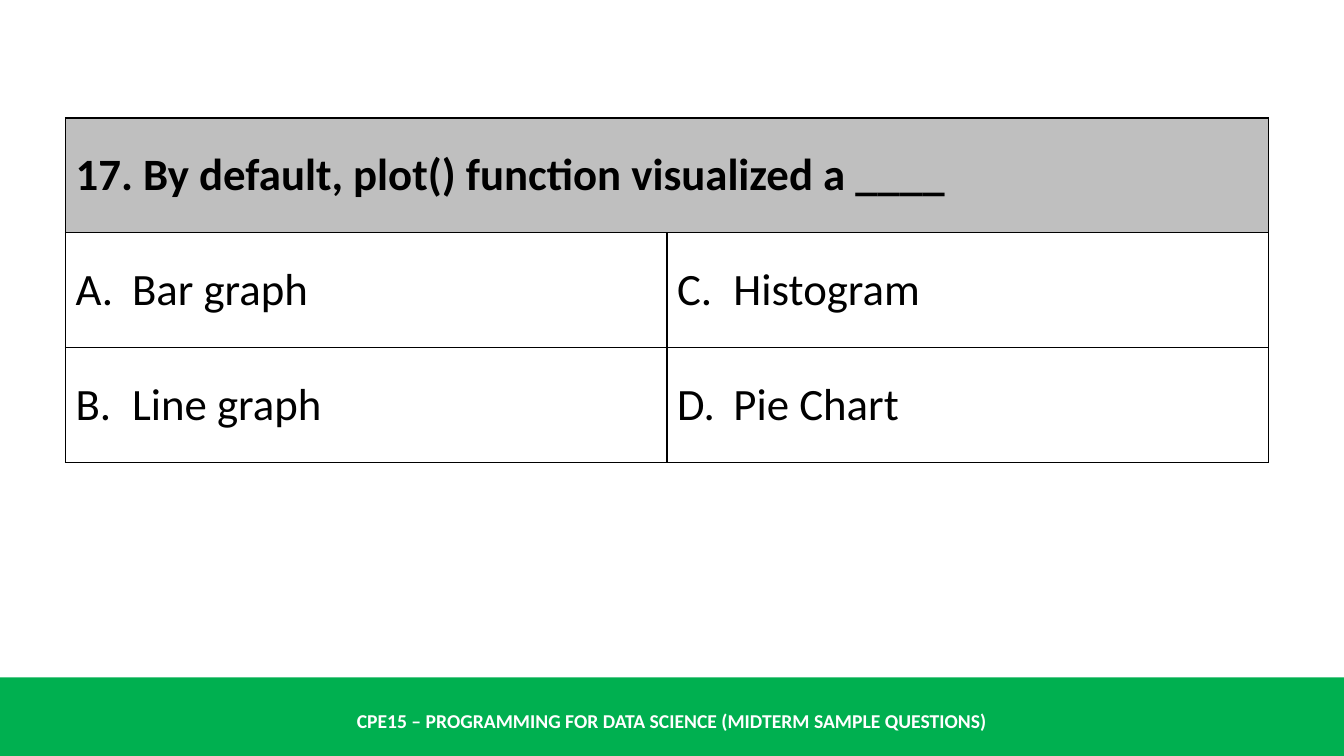
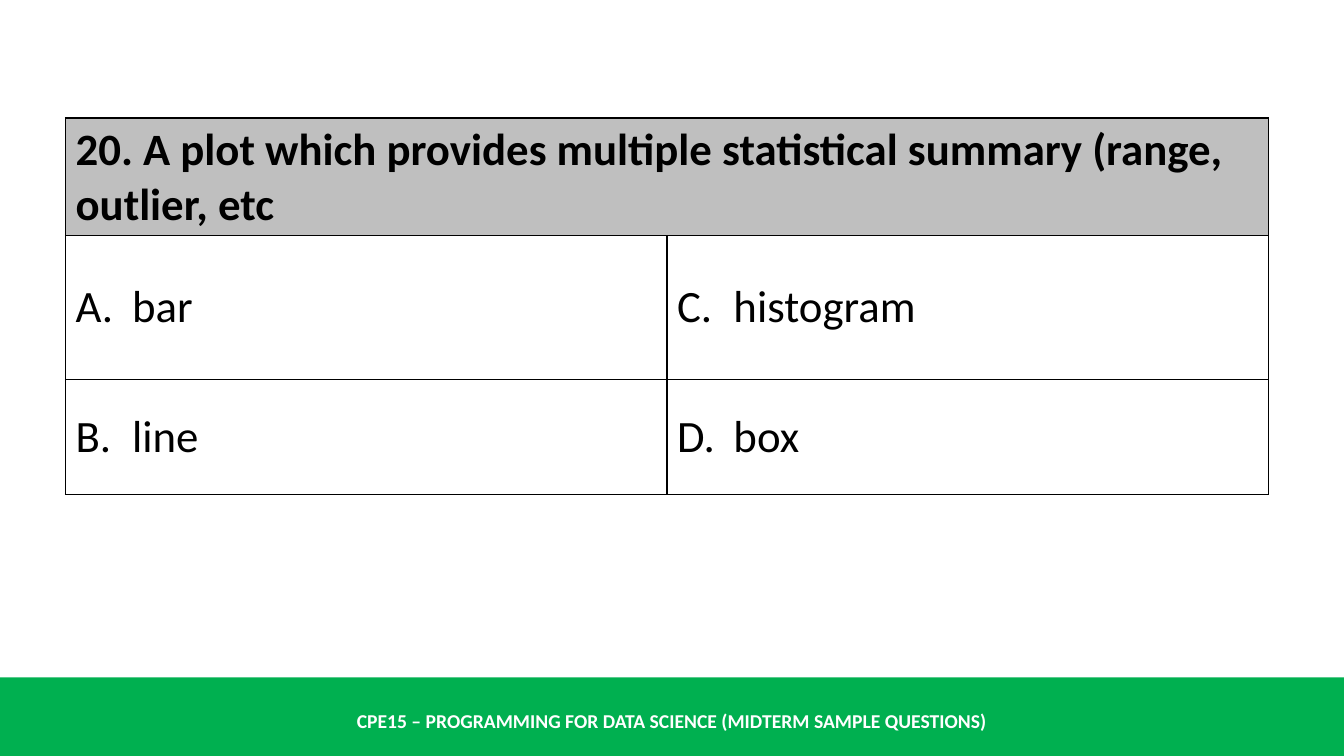
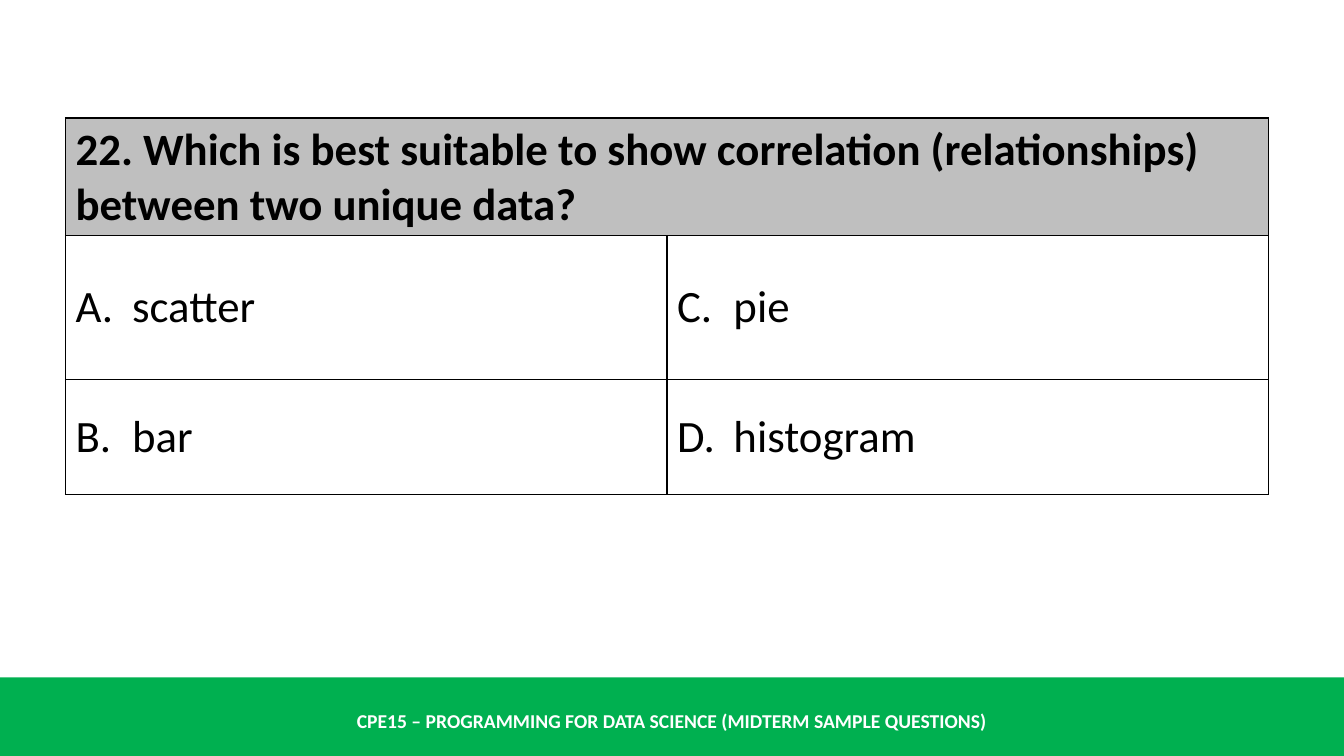
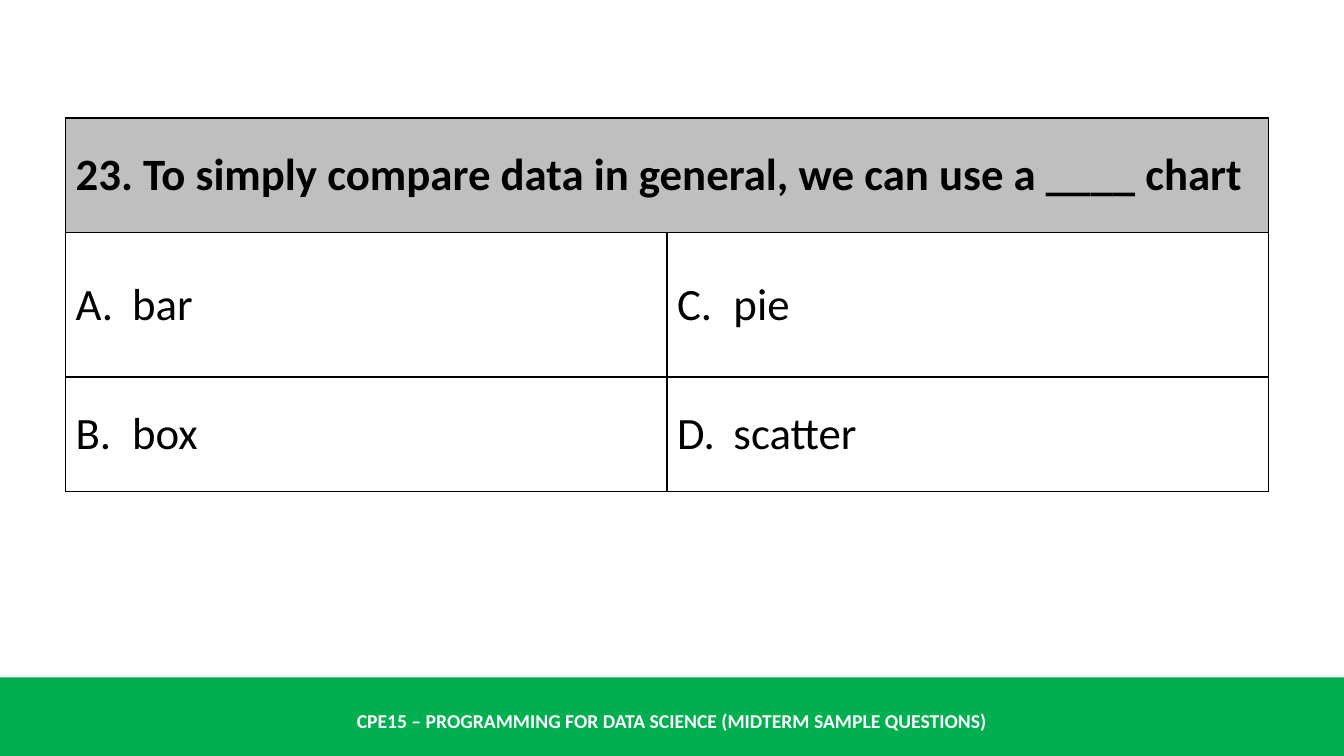
from lxml.etree import SubElement
from pptx import Presentation
from pptx.dml.color import RGBColor
from pptx.enum.shapes import MSO_SHAPE
from pptx.enum.text import MSO_ANCHOR, PP_ALIGN
from pptx.oxml.ns import qn
from pptx.util import Inches, Pt

HUES = {"band": "00B050", "head": "BFBFBF", "ink": "000000", "white": "FFFFFF"}
FONT = "Calibri"
WIDE, HIGH = 13.33, 7.5
FOOT = "CPE15 – PROGRAMMING FOR DATA SCIENCE (MIDTERM SAMPLE QUESTIONS)"
BAND = (0, 6.72, WIDE, 0.78)
GRID = (0.65, 1.17, 11.93)
LOW, TALL = 1.14, 1.43
HANG = 0.56

ITEMS = [
    ("17. By default, plot() function visualized a ____", LOW,
     ["Bar graph", "Line graph", "Histogram", "Pie Chart"]),
    ("20. A plot which provides multiple statistical summary (range, outlier, etc", TALL,
     ["bar", "line", "histogram", "box"]),
    ("22. Which is best suitable to show correlation (relationships) between two unique data?", TALL,
     ["scatter", "bar", "pie", "histogram"]),
    ("23. To simply compare data in general, we can use a ____ chart", TALL,
     ["bar", "box", "pie", "scatter"]),
]


def hue(name):
    return RGBColor.from_string(HUES[name])


def write(frame, text, size=32, color="ink", bold=False, align=PP_ALIGN.LEFT, start=None):
    frame.word_wrap = True
    para = frame.paragraphs[0]
    para.alignment = align
    if start:
        props = para._p.get_or_add_pPr()
        props.set("marL", str(Inches(HANG)))
        props.set("indent", str(-Inches(HANG)))
        SubElement(props, qn("a:buFont"), typeface="+mj-lt")
        SubElement(props, qn("a:buAutoNum"), type="alphaUcPeriod", startAt=str(start))
    run = para.add_run()
    run.text = text
    font = run.font
    font.name, font.size, font.bold = FONT, Pt(size), bold
    font.color.rgb = hue(color)


def edge(cell):
    props = cell._tc.get_or_add_tcPr()
    for side in ("lnL", "lnR", "lnT", "lnB"):
        line = SubElement(props, qn("a:" + side), w=str(Pt(1)))
        fill = SubElement(line, qn("a:solidFill"))
        SubElement(fill, qn("a:srgbClr"), val=HUES["ink"])


def footer(slide, box):
    left, top, width, height = box
    band = slide.shapes.add_shape(MSO_SHAPE.RECTANGLE, *map(Inches, box))
    band.shadow.inherit = False
    band.fill.solid()
    band.fill.fore_color.rgb = hue("band")
    band.line.fill.background()
    label = slide.shapes.add_textbox(
        Inches(left), Inches(top + 0.23), Inches(width), Inches(0.4))
    label.text_frame.vertical_anchor = MSO_ANCHOR.MIDDLE
    write(label.text_frame, FOOT, size=14, color="white", bold=True, align=PP_ALIGN.CENTER)


def quiz(slide, box, title, mid, picks):
    left, top, width = box
    rows = (LOW, mid, LOW)
    table = slide.shapes.add_table(
        3, 2, Inches(left), Inches(top), Inches(width), Inches(sum(rows))).table
    table.first_row = table.horz_banding = False
    for row, height in zip(table.rows, rows):
        row.height = Inches(height)
    for col in table.columns:
        col.width = Inches(width / 2)
    for cell in table.iter_cells():
        edge(cell)
        cell.fill.background()
        cell.vertical_anchor = MSO_ANCHOR.MIDDLE
    head = table.cell(0, 0)
    head.merge(table.cell(0, 1))
    head.fill.solid()
    head.fill.fore_color.rgb = hue("head")
    write(head.text_frame, title, bold=True)
    for num, pick in enumerate(picks):
        col, row = divmod(num, 2)
        write(table.cell(row + 1, col).text_frame, pick, start=num + 1)


def main():
    deck = Presentation()
    deck.slide_width, deck.slide_height = Inches(WIDE), Inches(HIGH)
    for title, mid, picks in ITEMS:
        slide = deck.slides.add_slide(deck.slide_layouts[6])
        footer(slide, BAND)
        quiz(slide, GRID, title, mid, picks)
    deck.save("out.pptx")


if __name__ == "__main__":
    main()
